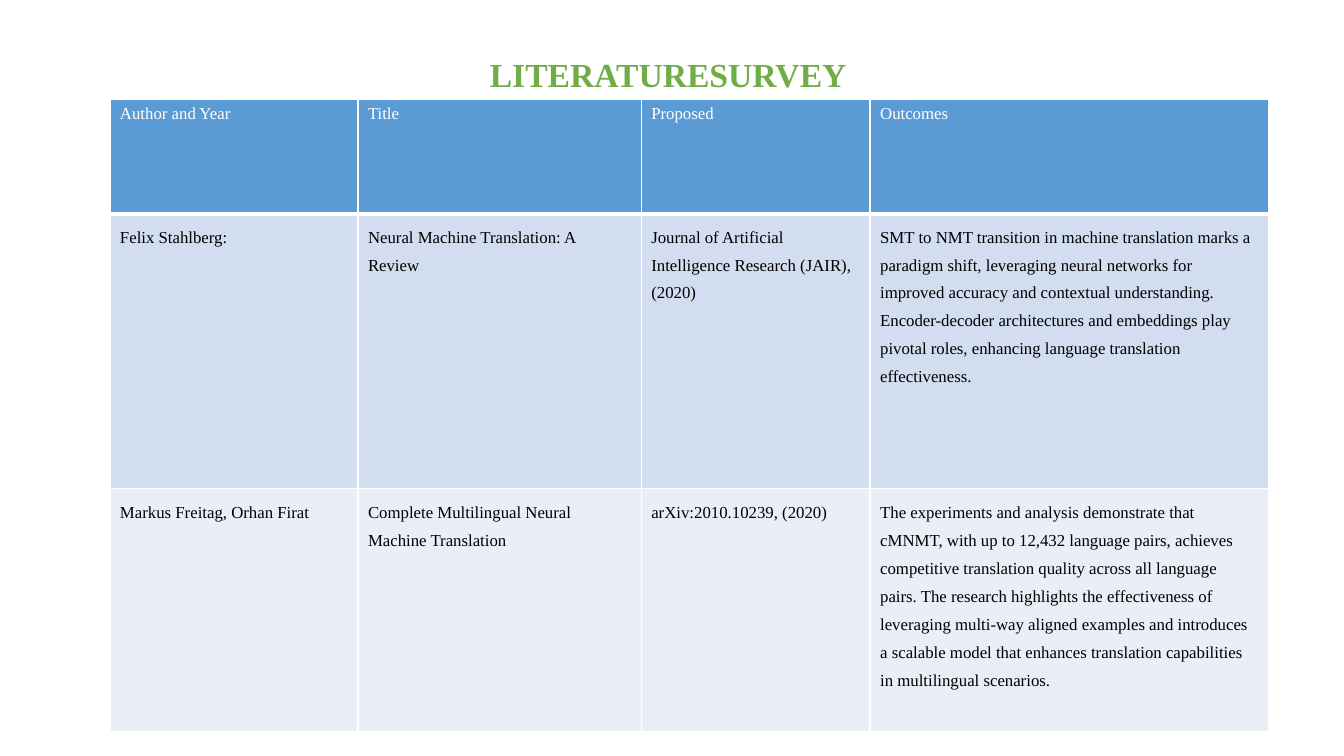
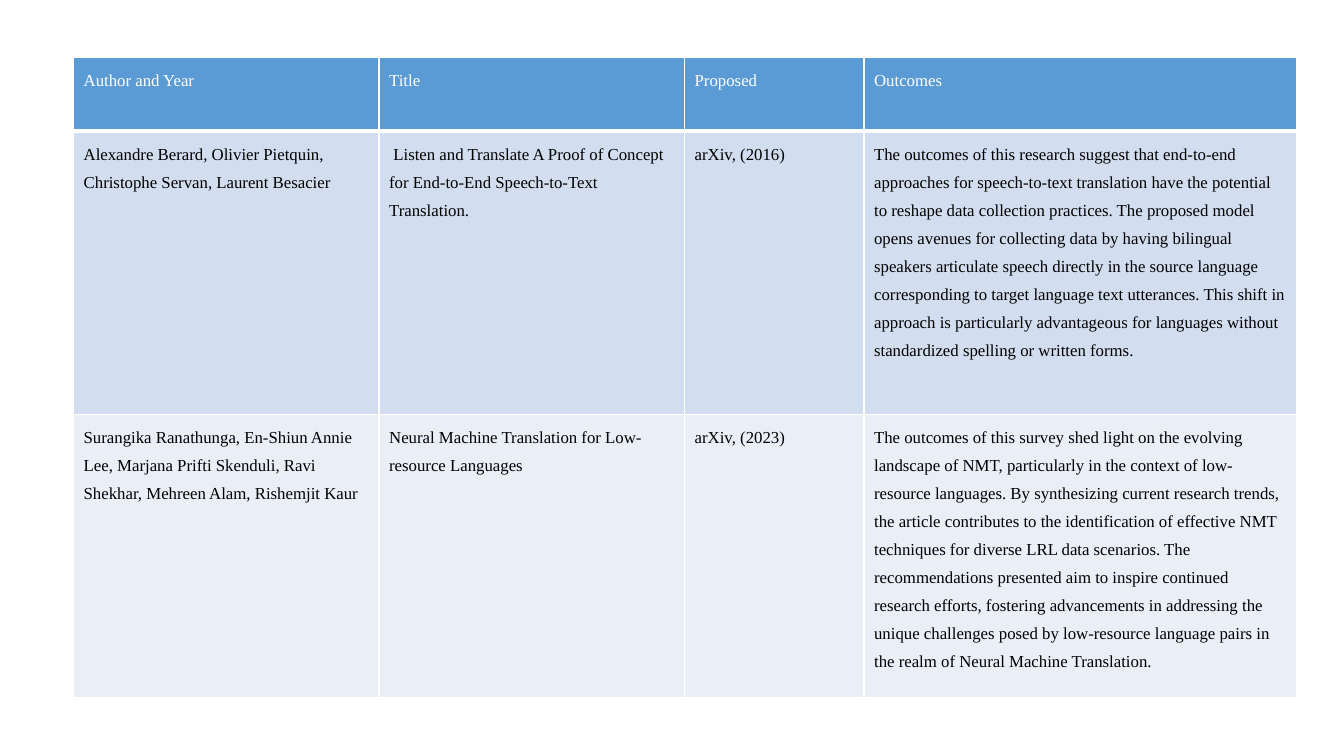
from lxml.etree import SubElement
from pptx import Presentation
from pptx.dml.color import RGBColor
from pptx.enum.text import MSO_ANCHOR
from pptx.oxml.ns import qn
from pptx.util import Inches, Pt

COLORS = {
    "title": "70AD47",
    "header": "5B9BD5",
    "band_dark": "D2DEEF",
    "band_light": "EAEFF7",
    "border": "FFFFFF",
    "header_text": "FFFFFF",
    "body_text": "000000",
}
FONT = "Times New Roman"
HEADINGS = ["Author and Year", "Title", "Proposed", "Outcomes"]

SURVEY_ONE = [
    ["Felix Stahlberg:",
     "Neural Machine Translation: A Review",
     "Journal of Artificial Intelligence Research (JAIR), (2020)",
     "SMT to NMT transition in machine translation marks a paradigm shift, "
     "leveraging neural networks for improved accuracy and contextual "
     "understanding. Encoder-decoder architectures and embeddings play "
     "pivotal roles, enhancing language translation effectiveness."],
    ["Markus Freitag, Orhan Firat",
     "Complete Multilingual Neural Machine Translation",
     "arXiv:2010.10239, (2020)",
     "The experiments and analysis demonstrate that cMNMT, with up to 12,432 "
     "language pairs, achieves competitive translation quality across all "
     "language pairs. The research highlights the effectiveness of leveraging "
     "multi-way aligned examples and introduces a scalable model that enhances "
     "translation capabilities in multilingual scenarios."],
]
SURVEY_TWO = [
    ["Alexandre Berard, Olivier Pietquin, Christophe Servan, Laurent Besacier",
     " Listen and Translate A Proof of Concept for End-to-End Speech-to-Text "
     "Translation.",
     "arXiv, (2016)",
     "The outcomes of this research suggest that end-to-end approaches for "
     "speech-to-text translation have the potential to reshape data collection "
     "practices. The proposed model opens avenues for collecting data by having "
     "bilingual speakers articulate speech directly in the source language "
     "corresponding to target language text utterances. This shift in approach "
     "is particularly advantageous for languages without standardized spelling "
     "or written forms."],
    ["Surangika Ranathunga, En-Shiun Annie Lee, Marjana Prifti Skenduli, "
     "Ravi Shekhar, Mehreen Alam, Rishemjit Kaur",
     "Neural Machine Translation for Low-resource Languages",
     "arXiv, (2023)",
     "The outcomes of this survey shed light on the evolving landscape of NMT, "
     "particularly in the context of low-resource languages. By synthesizing "
     "current research trends, the article contributes to the identification of "
     "effective NMT techniques for diverse LRL data scenarios. The "
     "recommendations presented aim to inspire continued research efforts, "
     "fostering advancements in addressing the unique challenges posed by "
     "low-resource language pairs in the realm of Neural Machine Translation."],
]


class SurveyDeck:
    """Holds the shared style and the slide being filled."""

    def __init__(self):
        self.deck = Presentation()
        self.deck.slide_width = Inches(13.33)
        self.deck.slide_height = Inches(7.5)
        self.page = None

    def new_page(self):
        self.page = self.deck.slides.add_slide(self.deck.slide_layouts[6])

    def add_text(self, frame, text, size, color, spacing, bold=False):
        para = frame.paragraphs[0]
        para.line_spacing = spacing
        span = para.add_run()
        span.text = text
        span.font.name = FONT
        span.font.size = Pt(size)
        span.font.bold = bold
        span.font.color.rgb = RGBColor.from_string(COLORS[color])

    def title(self, text, left, top, width, height):
        box = self.page.shapes.add_textbox(
            Inches(left), Inches(top), Inches(width), Inches(height))
        frame = box.text_frame
        frame.word_wrap = True
        frame.vertical_anchor = MSO_ANCHOR.MIDDLE
        self.add_text(frame, text, 24, "title", 0.9, bold=True)

    def border(self, cell, widths):
        """Draw cell edges; widths maps L, R, T, B (in that order) to points."""
        props = cell._tc.get_or_add_tcPr()
        for side, width in widths.items():
            line = SubElement(props, qn(f"a:ln{side}"), w=str(Pt(width)))
            fill = SubElement(line, qn("a:solidFill"))
            SubElement(fill, qn("a:srgbClr"), val=COLORS["border"])

    def survey_table(self, left, top, widths, heights, entries, header_spacing=1.5):
        rows = [HEADINGS] + entries
        table = self.page.shapes.add_table(
            len(rows), len(widths), Inches(left), Inches(top),
            Inches(sum(widths)), Inches(sum(heights))).table
        for column, width in zip(table.columns, widths):
            column.width = Inches(width)
        for row, height in zip(table.rows, heights):
            row.height = Inches(height)
        for r, texts in enumerate(rows):
            header = r == 0
            band = "header" if header else ("band_light", "band_dark")[r % 2]
            for c, text in enumerate(texts):
                cell = table.cell(r, c)
                edges = {"L": 1, "R": 1, "T": 1, "B": 3} if header else {"L": 1, "R": 1, "B": 1}
                self.border(cell, edges)
                cell.fill.solid()
                cell.fill.fore_color.rgb = RGBColor.from_string(COLORS[band])
                self.add_text(cell.text_frame, text, 12,
                              "header_text" if header else "body_text",
                              header_spacing if header else 1.5)


def main():
    survey = SurveyDeck()

    survey.new_page()
    survey.title("LITERATURESURVEY", 4.76, 0.4, 3.81, 0.72)
    survey.survey_table(1.09, 0.99, [2.46, 2.81, 2.27, 3.95],
                        [1.13, 2.73, 2.41], SURVEY_ONE, header_spacing=1.0)

    survey.new_page()
    survey.survey_table(0.73, 0.57, [3.03, 3.03, 1.78, 4.29],
                        [0.73, 2.81, 2.81], SURVEY_TWO)

    survey.deck.save("out.pptx")


if __name__ == "__main__":
    main()
